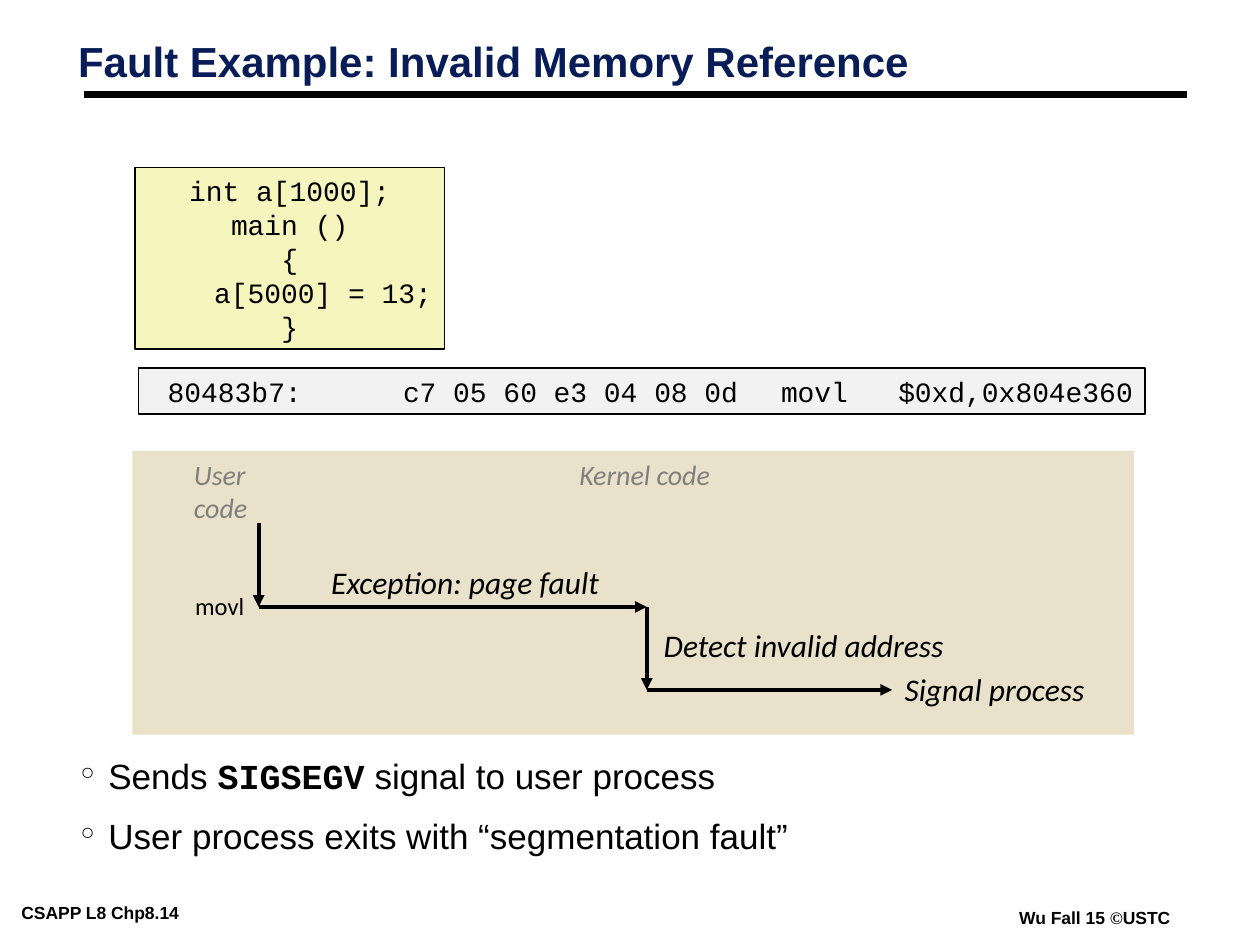
"""Build the slide on the invalid memory reference fault."""
import dataclasses

import lxml.etree
import pptx
import pptx.dml.color
import pptx.enum.shapes
import pptx.enum.text
import pptx.oxml.ns
import pptx.util


@dataclasses.dataclass(frozen=True)
class Theme:
    sans: str = "Arial"
    serif: str = "Times New Roman"
    mono: str = "Courier New"
    diagram: str = "Calibri"
    ink: str = "000000"
    heading: str = "081D58"
    muted: str = "7F7F7F"
    source_fill: str = "F6F5BD"
    machine_fill: str = "F2F2F2"
    panel_fill: str = "E9E1C9"
    title_size: float = 24
    body_size: float = 20
    step_size: float = 18
    code_size: float = 16
    small_size: float = 14
    footer_size: float = 10
    tight_inset: tuple = (5, 2.16)
    inset: tuple = (7.2, 3.6)


def rgb(value):
    return pptx.dml.color.RGBColor.from_string(value)


def add_element(parent, tag, **attributes):
    return lxml.etree.SubElement(parent, pptx.oxml.ns.qn(tag), **attributes)


class SlideBuilder:
    def __init__(self, slide, theme):
        self.slide = slide
        self.theme = theme

    def frame(self, shape, inset, wrap):
        frame = shape.text_frame
        frame.word_wrap = wrap
        frame.vertical_anchor = pptx.enum.text.MSO_ANCHOR.TOP
        across, down = map(pptx.util.Pt, inset)
        frame.margin_left = frame.margin_right = across
        frame.margin_top = frame.margin_bottom = down
        return frame

    def font(self, font, size, color, name=None, bold=None, italic=None):
        font.size = pptx.util.Pt(size)
        font.color.rgb = rgb(color)
        font.name, font.bold, font.italic = name, bold, italic

    def text(self, box, content, size, color=None, name=None, bold=None,
             italic=None, inset=None, wrap=False, spacing=None):
        label = self.slide.shapes.add_textbox(*map(pptx.util.Pt, box))
        paragraph = self.frame(label, inset or self.theme.inset, wrap).paragraphs[0]
        paragraph.line_spacing = spacing
        self.font(paragraph.font, size, color or self.theme.ink, name, bold, italic)
        self.runs(paragraph, content)

    def runs(self, paragraph, content):
        if isinstance(content, str):
            content = [(content, None, None)]
        for words, name, bold in content:
            run = paragraph.add_run()
            run.text = words
            if name:
                run.font.name, run.font.bold = name, bold

    def bullets(self, box, items):
        body = self.slide.shapes.add_textbox(*map(pptx.util.Pt, box))
        frame = self.frame(body, self.theme.tight_inset, True)
        for index, content in enumerate(items):
            paragraph = frame.add_paragraph() if index else frame.paragraphs[0]
            properties = paragraph._p.get_or_add_pPr()
            hanging = pptx.util.Pt(16)
            properties.set("marL", str(hanging))
            properties.set("indent", str(-hanging))
            add_element(properties, "a:buChar", char="°")
            paragraph.line_spacing = 0.75
            if index:
                paragraph.space_before = pptx.util.Pt(16.2)
            self.font(paragraph.font, self.theme.body_size, self.theme.ink, self.theme.sans)
            self.runs(paragraph, content)

    def panel(self, box, fill, outlined=False):
        panel = self.slide.shapes.add_shape(
            pptx.enum.shapes.MSO_SHAPE.RECTANGLE, *map(pptx.util.Pt, box))
        panel.shadow.inherit = False
        panel.fill.solid()
        panel.fill.fore_color.rgb = rgb(fill)
        if outlined:
            panel.line.color.rgb = rgb(self.theme.ink)
            panel.line.width = pptx.util.Pt(1)
        else:
            panel.line.fill.background()
        return panel

    def code(self, box, fill, lines):
        frame = self.frame(self.panel(box, fill, True), self.theme.inset, False)
        for index, line in enumerate(lines):
            paragraph = frame.add_paragraph() if index else frame.paragraphs[0]
            paragraph.alignment = pptx.enum.text.PP_ALIGN.CENTER
            if "\t" in line:
                stops = add_element(paragraph._p.get_or_add_pPr(), "a:tabLst")
                for stop in range(1, 8):
                    add_element(stops, "a:tab", pos=str(pptx.util.Pt(72 * stop)), algn="l")
            paragraph.line_spacing = pptx.util.Pt(19.3)
            self.font(paragraph.font, self.theme.code_size, self.theme.ink, self.theme.mono)
            self.runs(paragraph, line)

    def line(self, start, end, width=2.25, arrow=True):
        line = self.slide.shapes.add_connector(
            pptx.enum.shapes.MSO_CONNECTOR.STRAIGHT, *map(pptx.util.Pt, start + end))
        line.line.color.rgb = rgb(self.theme.ink)
        line.line.width = pptx.util.Pt(width)
        if arrow:
            add_element(line.line._get_or_add_ln(), "a:tailEnd", type="triangle")
        add_element(line._element.spPr, "a:effectLst")


def main():
    deck = pptx.Presentation()
    deck.slide_width, deck.slide_height = pptx.util.Pt(720), pptx.util.Pt(540)
    theme = Theme()
    page = SlideBuilder(deck.slides.add_slide(deck.slide_layouts[6]), theme)

    footer = dict(size=theme.footer_size, name=theme.sans, bold=True, inset=theme.tight_inset)
    page.text((7.2, 513.4, 140.4, 15.8), "CSAPP L8 Chp8.14", wrap=True, **footer)
    page.text((577.4, 516.2, 99.4, 15.8), [
        ("Wu Fall 15 ", None, None), ("©", theme.serif, True), ("USTC", None, None),
    ], wrap=True, **footer)
    page.line((48.2, 54), (678.2, 54), 4.5, arrow=False)
    page.text((39.6, 22.3, 680, 44), "Fault Example: Invalid Memory Reference",
              theme.title_size, theme.heading, theme.sans, bold=True,
              inset=theme.tight_inset, wrap=True, spacing=0.87)
    page.bullets((41, 434.9, 527.8, 69), [
        [("Sends ", None, None), ("SIGSEGV", theme.mono, True),
         (" signal to user process", None, None)],
        "User process exits with “segmentation fault”",
    ])

    page.code((77, 95.8, 177.1, 103.7), theme.source_fill,
              ["int a[1000];", "main ()", "{", "    a[5000] = 13;", "}"])
    page.code((79.2, 210.2, 575.3, 26.6), theme.machine_fill,
              [" 80483b7:\tc7 05 60 e3 04 08 0d \tmovl   $0xd,0x804e360"])

    page.panel((75.6, 257.8, 572.4, 162), theme.panel_fill)
    for left, width, heading in ((103.7, 77.8, "User code"), (324, 89.3, "Kernel code")):
        page.text((left, 257.8, width, 25.9), heading, theme.code_size,
                  theme.muted, theme.diagram, italic=True)

    user, kernel, signal = 147.8, 369.6, 509.8
    begin, fault, detected = 298.8, 346.8, 394.2
    flow = [(user, begin), (user, fault), (kernel, fault), (kernel, detected), (signal, detected)]
    for start, end in zip(flow, flow[1:]):
        page.line(start, end)
    for left, top, width, step, wrap in (
        (182.2, 318.2, 168.5, "Exception: page fault", False),
        (372.2, 354.2, 180, "Detect invalid address", True),
        (signal, 379.4, 126, "Signal process", True),
    ):
        page.text((left, top, width, 28.8), step, theme.step_size,
                  name=theme.diagram, italic=True, wrap=wrap)
    page.text((104.4, 334.1, 42.5, 24.5), "movl", theme.small_size, name=theme.diagram)
    deck.save("out.pptx")


if __name__ == "__main__":
    main()
